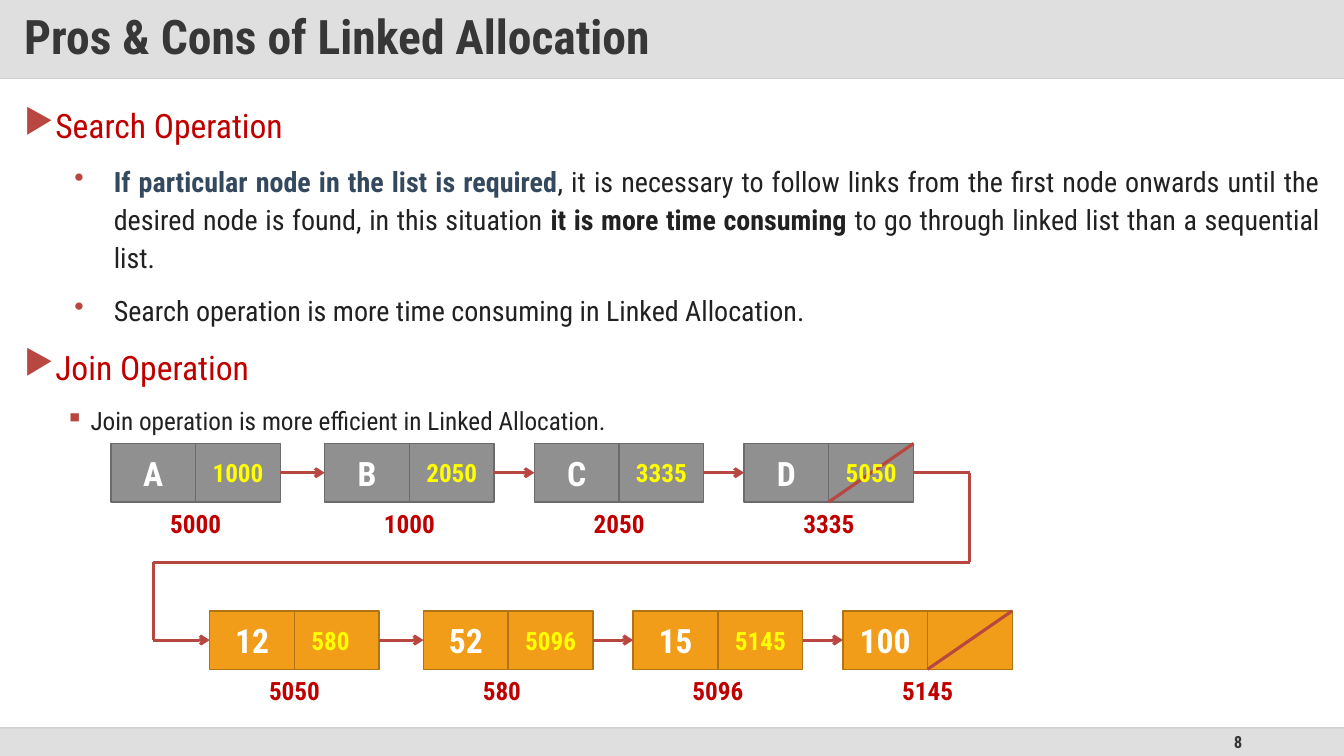
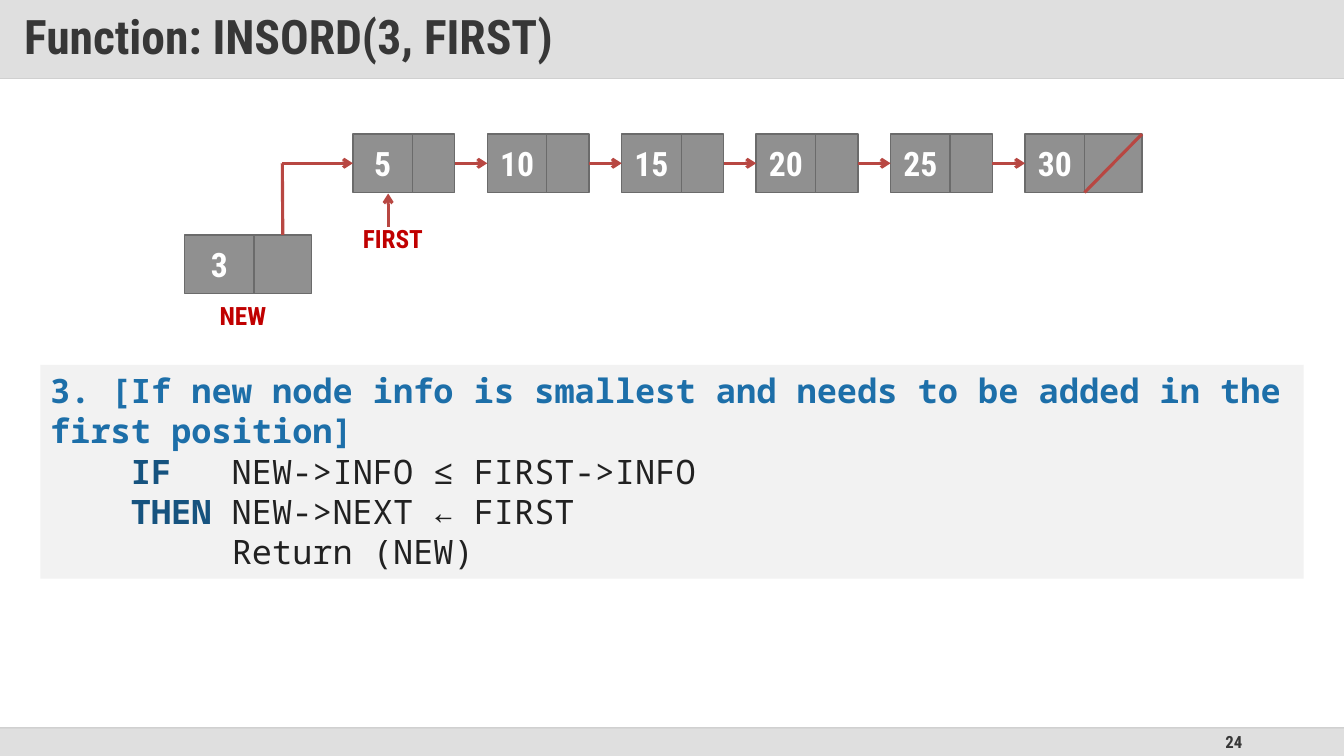
"""Builds two slides about linked lists."""
from dataclasses import dataclass
from itertools import pairwise

from lxml import etree
from pptx import Presentation
from pptx.dml.color import RGBColor
from pptx.enum import shapes, text
from pptx.oxml import ns
from pptx.util import Inches, Pt


@dataclass(frozen=True)
class Theme:
    font: str = "Roboto Condensed"
    code_font: str = "Noto Sans Mono"
    band: str = "C0C0C0"
    footer: str = "DFDFDF"
    title_rule: str = "D9D9D9"
    footer_rule: str = "BFBFBF"
    heading: str = "373737"
    body: str = "212121"
    emphasis: str = "34495E"
    accent: str = "B84742"
    red: str = "C00000"
    yellow: str = "FFFF00"
    white: str = "FFFFFF"
    gray: tuple = ("909090", "6B6B6B")
    orange: tuple = ("F19D19", "B27412")
    code_fill: str = "F2F2F2"
    code_title: str = "1D6FA9"
    keyword: str = "16537F"
    title_size: int = 34
    large: int = 24
    medium: int = 20
    small: int = 18
    number_size: int = 12
    arrow_width: float = 2.25


THEME = Theme()
WIDTH, HEIGHT = 13.33, 7.5
BAND_HEIGHT, FOOTER_TOP = 0.78, 7.22
NODE_HEIGHT = 0.58
LEVELS = {
    0: ("▶", 0.29, -0.29, THEME.large),
    1: ("•", 0.89, -0.39, THEME.medium),
    2: ("▪", 0.66, -0.25, THEME.small),
}


def add_element(parent, tag, **attributes):
    """Append a DrawingML element."""
    return etree.SubElement(parent, ns.qn(tag), attributes)


def paint(fill, colour, opacity=100):
    """Give a fill a solid colour, see-through if asked."""
    fill.solid()
    fill.fore_color.rgb = RGBColor.from_string(colour)
    if opacity < 100:
        colour_element = fill._xPr.find(".//" + ns.qn("a:srgbClr"))
        add_element(colour_element, "a:alpha", val=str(opacity * 1000))


def format_run(run, size, colour, bold=True, font=THEME.font):
    """Set the type of one run."""
    run.font.name = font
    run.font.size = Pt(size)
    run.font.bold = bold
    run.font.color.rgb = RGBColor.from_string(colour)


def add_runs(paragraph, pieces, size, font=THEME.font):
    """Add runs given as (words, colour, bold)."""
    for words, colour, bold in pieces:
        run = paragraph.add_run()
        run.text = words
        format_run(run, size, colour, bold, font)


def write(shape, words, size, colour, align=text.PP_ALIGN.LEFT,
          anchor=text.MSO_ANCHOR.MIDDLE, margins=(0.1, 0.05)):
    """Put one formatted line of text in a shape."""
    frame = shape.text_frame
    frame.word_wrap = True
    frame.vertical_anchor = anchor
    frame.margin_left = frame.margin_right = Inches(margins[0])
    frame.margin_top = frame.margin_bottom = Inches(margins[1])
    frame.text = words
    paragraph = frame.paragraphs[0]
    paragraph.alignment = align
    format_run(paragraph.runs[0], size, colour)


def add_box(slide, left, top, width, height, fill, line=None, opacity=100):
    """Add a flat rectangle."""
    shape = slide.shapes.add_shape(
        shapes.MSO_SHAPE.RECTANGLE,
        Inches(left), Inches(top), Inches(width), Inches(height))
    shape.shadow.inherit = False
    paint(shape.fill, fill, opacity)
    if line:
        paint(shape.line.fill, line)
        shape.line.width = Pt(1)
    else:
        shape.line.fill.background()
    return shape


def add_textbox(slide, left, top, width, height):
    """Add a wrapping text box."""
    box = slide.shapes.add_textbox(
        Inches(left), Inches(top), Inches(width), Inches(height))
    box.text_frame.word_wrap = True
    return box


def add_line(slide, start, end, colour=THEME.accent, width=THEME.arrow_width,
             opacity=100, arrow=False):
    """Add a straight line, with an arrowhead if asked."""
    points = [Inches(value) for value in (*start, *end)]
    line = slide.shapes.add_connector(shapes.MSO_CONNECTOR.STRAIGHT, *points)
    paint(line.line.fill, colour, opacity)
    line.line.width = Pt(width)
    if arrow:
        add_element(line.line._ln, "a:tailEnd", type="arrow")
    add_element(line._element.spPr, "a:effectLst")
    return line


def add_route(slide, points, start=None, end=None):
    """Add an arrow through points, joined to (shape, side) ends."""
    legs = list(pairwise(points))
    lines = [add_line(slide, *leg, arrow=leg == legs[-1]) for leg in legs]
    if start:
        lines[0].begin_connect(*start)
    if end:
        lines[-1].end_connect(*end)


def add_label(slide, words, left, top, colour=THEME.red):
    """Add a small bold label."""
    box = add_textbox(slide, left, top, 0.9, 0.4)
    write(box, words, THEME.small, colour, anchor=text.MSO_ANCHOR.TOP)


def add_node(slide, info, left, top, widths, colours=THEME.gray, last=False):
    """Add a list node and return its info and link cells."""
    info_width, link_width = widths
    link_left = left + info_width
    info_cell = add_box(slide, left, top, info_width, NODE_HEIGHT, *colours)
    write(info_cell, info, THEME.large, THEME.white, text.PP_ALIGN.CENTER,
          margins=(0, 0.05))
    link_cell = add_box(slide, link_left, top, link_width, NODE_HEIGHT, *colours)
    if last:
        add_line(slide, (link_left + link_width, top),
                 (link_left, top + NODE_HEIGHT))
    return info_cell, link_cell


def link_nodes(slide, cells):
    """Draw an arrow from each node to the next."""
    for (_, link_cell), (info_cell, _) in pairwise(cells):
        middle = (link_cell.top + link_cell.height / 2) / Inches(1)
        points = [((link_cell.left + link_cell.width) / Inches(1), middle),
                  (info_cell.left / Inches(1), middle)]
        add_route(slide, points, (link_cell, 3), (info_cell, 1))


def add_addressed_list(slide, left, top, nodes, colours):
    """Add a row of nodes with addresses and pointers."""
    cells = []
    offsets = (0, 2.12, 4.2, 6.28)
    for offset, (info, address, pointer) in zip(offsets, nodes):
        node_left = left + offset
        cells.append(add_node(slide, info, node_left, top, (0.84, 0.84),
                              colours, last=offset == offsets[-1]))
        add_label(slide, address, node_left + 0.49, top + 0.59)
        if pointer:
            add_label(slide, pointer, node_left + 0.91, top + 0.09, THEME.yellow)
    link_nodes(slide, cells)
    return cells


def add_bullets(slide, items):
    """Add the bulleted body from (level, runs) items."""
    frame = add_textbox(slide, 0.14, 0.94, 13.05, 6.11).text_frame
    for index, (level, pieces) in enumerate(items):
        paragraph = frame.add_paragraph() if index else frame.paragraphs[0]
        symbol, margin, indent, size = LEVELS[level]
        paragraph.alignment = text.PP_ALIGN.JUSTIFY
        paragraph.level = level
        paragraph.line_spacing = 1.14
        paragraph.space_before = Pt(10 if index else 0)
        properties = paragraph._p.get_or_add_pPr()
        properties.set("marL", str(Inches(margin)))
        properties.set("indent", str(Inches(indent)))
        bullet_colour = add_element(properties, "a:buClr")
        add_element(bullet_colour, "a:srgbClr", val=THEME.accent)
        add_element(properties, "a:buChar", char=symbol)
        add_runs(paragraph, pieces, size)


def add_code(slide, lines):
    """Add the shaded code panel."""
    panel = add_box(slide, 0.4, 3.62, 12.53, 2.12, THEME.code_fill)
    frame = panel.text_frame
    frame.word_wrap = True
    frame.vertical_anchor = text.MSO_ANCHOR.TOP
    for index, pieces in enumerate(lines):
        paragraph = frame.add_paragraph() if index else frame.paragraphs[0]
        paragraph.alignment = text.PP_ALIGN.LEFT
        add_runs(paragraph, pieces, THEME.large, THEME.code_font)


def add_slide(presentation, title, number):
    """Add a slide with its title band and footer."""
    slide = presentation.slides.add_slide(presentation.slide_layouts[6])
    footer_height = HEIGHT - FOOTER_TOP
    add_box(slide, 0, FOOTER_TOP, WIDTH, footer_height, THEME.footer)
    number_box = add_textbox(slide, 9.42, FOOTER_TOP, 3, footer_height)
    write(number_box, str(number), THEME.number_size, THEME.heading,
          text.PP_ALIGN.RIGHT)
    add_line(slide, (0, BAND_HEIGHT), (WIDTH, BAND_HEIGHT), THEME.title_rule, 1)
    add_line(slide, (0, FOOTER_TOP), (WIDTH, FOOTER_TOP), THEME.footer_rule, 1, 70)
    band = add_box(slide, 0, 0, WIDTH, BAND_HEIGHT, THEME.band, opacity=50)
    write(band, title, THEME.title_size, THEME.heading, margins=(0.24, 0.12))
    band.text_frame.paragraphs[0].line_spacing = 0.9
    return slide


def build_allocation(presentation):
    """Build the pros and cons slide."""
    slide = add_slide(presentation, "Pros & Cons of Linked Allocation", 8)
    add_bullets(slide, [
        (0, [("Search Operation", THEME.red, False)]),
        (1, [("If particular node in the list is required", THEME.emphasis, True),
             (", it is necessary to follow links from the first node onwards until "
              "the desired node is found, in this situation ", THEME.body, False),
             ("it is more time consuming ", THEME.body, True),
             ("to go through linked list than a sequential list.",
              THEME.body, False)]),
        (1, [("Search operation is more time consuming in Linked Allocation.",
              THEME.body, False)]),
        (0, [("Join Operation", THEME.red, False)]),
        (2, [("Join operation is more efficient in Linked Allocation.",
              THEME.body, False)]),
    ])
    letters = add_addressed_list(slide, 1.1, 4.4, [
        ("A", "5000", "1000"), ("B", "1000", "2050"),
        ("C", "2050", "3335"), ("D", "3335", "5050")], THEME.gray)
    numbers = add_addressed_list(slide, 2.08, 6.06, [
        ("12", "5050", "580"), ("52", "580", "5096"),
        ("15", "5096", "5145"), ("100", "5145", None)], THEME.orange)
    add_route(slide, [(9.06, 4.69), (9.62, 4.69), (9.62, 5.58),
                      (1.52, 5.58), (1.52, 6.35), (2.08, 6.35)],
              (letters[-1][1], 3), (numbers[0][0], 1))


def build_insertion(presentation):
    """Build the ordered insertion slide."""
    slide = add_slide(presentation, "Function: INSORD(3, FIRST)", 24)
    values = ("5", "10", "15", "20", "25", "30")
    cells = []
    for index, value in enumerate(values):
        last = value == values[-1]
        cells.append(add_node(slide, value, 3.5 + index * 4 / 3, 1.33,
                              (0.59, 0.57 if last else 0.42), last=last))
    link_nodes(slide, cells)
    new_node = add_node(slide, "3", 1.83, 2.33, (0.69, 0.57))
    add_label(slide, "NEW", 2.08, 2.93)
    add_label(slide, "FIRST", 3.5, 2.17)
    add_route(slide, [(3.85, 2.25), (3.85, 1.92)])
    add_route(slide, [(2.8, 2.33), (2.8, 1.62), (3.5, 1.62)],
              (new_node[1], 0), (cells[0][0], 1))
    add_code(slide, [
        [("3. [If new node info is smallest and needs to be added in the "
          "first position]", THEME.code_title, True)],
        [("    ", THEME.body, False), ("IF ", THEME.keyword, True),
         ("  NEW->INFO ≤ FIRST->INFO", THEME.body, False)],
        [("    ", THEME.body, False), ("THEN ", THEME.keyword, True),
         ("NEW->NEXT ← FIRST", THEME.body, False)],
        [("         Return (NEW)", THEME.body, False)],
    ])


def main():
    """Build and save the presentation."""
    presentation = Presentation()
    presentation.slide_width = Inches(WIDTH)
    presentation.slide_height = Inches(HEIGHT)
    build_allocation(presentation)
    build_insertion(presentation)
    presentation.save("out.pptx")


if __name__ == "__main__":
    main()
